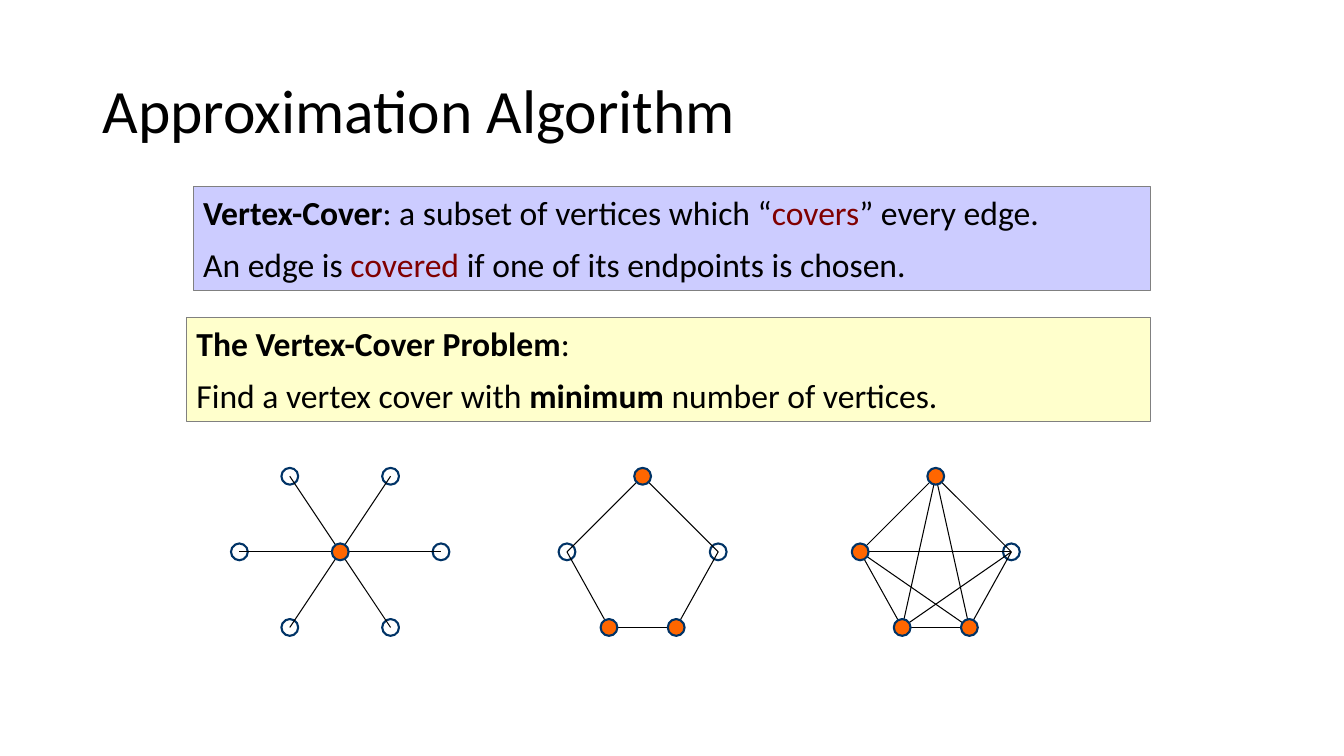
from itertools import combinations

from lxml import etree
from pptx import Presentation
from pptx import util as u
from pptx.dml.color import RGBColor
from pptx.enum import shapes, text
from pptx.oxml.ns import qn

COLORS = {
    "ink": "000000", "accent": "800000", "frame": "808080",
    "definition": "CCCCFF", "problem": "FFFFCC",
    "outline": "003366", "free": "FFFFFF", "chosen": "FF6600",
}
COLUMNS, ROWS = 160, 90
VERTEX_SIZE = 2

# Vertex offsets from the graph's centre, in columns and rows
STAR = [(0, 0), (6, -9), (-6, -9), (-12, 0), (12, 0), (-6, 9), (6, 9)]
PENTAGON = [(0, -9), (9, 0), (4, 9), (-4, 9), (-9, 0)]

SPOKES = [(0, tip) for tip in range(1, len(STAR))]
RING = [(i, (i + 1) % len(PENTAGON)) for i in range(len(PENTAGON))]
ALL_PAIRS = list(combinations(range(len(PENTAGON)), 2))

# Centre column, vertices, edges, chosen vertices
GRAPHS = [
    (40.5, STAR, SPOKES, {0}),
    (76.5, PENTAGON, RING, {0, 2, 3}),
    (111.4, PENTAGON, ALL_PAIRS, {0, 2, 3, 4}),
]
GRAPH_ROW = 65.7

DEFINITION = [
    [("Vertex-Cover", {"bold": True}), (": a subset of vertices which “", {}),
     ("covers", {"color": "accent"}), ("” every edge.", {})],
    [("An edge is ", {}), ("covered", {"color": "accent"}),
     (" if one of its endpoints is chosen.", {})],
]
PROBLEM = [
    [("The Vertex-Cover Problem", {"bold": True}), (":", {})],
    [("Find a vertex cover with ", {}), ("minimum", {"bold": True}),
     (" number of vertices.", {})],
]


def apply(target, values):
    for name, value in values.items():
        setattr(target, name, value)


class SlideBuilder:
    font = "Calibri"

    def __init__(self, presentation):
        self.column = presentation.slide_width / COLUMNS
        self.row = presentation.slide_height / ROWS
        self.slide = presentation.slides.add_slide(presentation.slide_layouts[5])

    def place(self, *lengths):
        """Turn alternating columns and rows into slide lengths."""
        units = (self.column, self.row) * 2
        return [round(length * unit) for length, unit in zip(lengths, units)]

    def add_runs(self, paragraph, runs, size):
        for words, values in runs:
            run = paragraph.add_run()
            run.text = words
            apply(run.font, {"name": self.font, "size": u.Pt(size),
                             "bold": values.get("bold", False)})
            color = COLORS[values.get("color", "ink")]
            run.font.color.rgb = RGBColor.from_string(color)

    def title(self, words, box):
        shape = self.slide.shapes.title
        apply(shape, dict(zip(("left", "top", "width", "height"), self.place(*box))))
        apply(shape.text_frame, {"auto_size": text.MSO_AUTO_SIZE.NONE,
                                 "vertical_anchor": text.MSO_ANCHOR.MIDDLE})
        paragraph = shape.text_frame.paragraphs[0]
        apply(paragraph, {"alignment": text.PP_ALIGN.LEFT, "line_spacing": 0.9})
        self.add_runs(paragraph, [(words, {})], 44)

    def shape(self, kind, box, fill, line, width):
        shape = self.slide.shapes.add_shape(kind, *self.place(*box))
        shape.shadow.inherit = False
        shape.fill.solid()
        shape.fill.fore_color.rgb = RGBColor.from_string(COLORS[fill])
        shape.line.color.rgb = RGBColor.from_string(COLORS[line])
        shape.line.width = u.Pt(width)
        return shape

    def panel(self, paragraphs, box, fill):
        shape = self.shape(shapes.MSO_SHAPE.RECTANGLE, box, fill, "frame", 0.75)
        frame = shape.text_frame
        apply(frame, {"word_wrap": True, "vertical_anchor": text.MSO_ANCHOR.TOP,
                      "auto_size": text.MSO_AUTO_SIZE.SHAPE_TO_FIT_TEXT})
        for index, runs in enumerate(paragraphs):
            paragraph = frame.add_paragraph() if index else frame.paragraphs[0]
            apply(paragraph, {"alignment": text.PP_ALIGN.LEFT,
                              "line_spacing": 1.3 if index else 1.0})
            self.add_runs(paragraph, runs, 24)

    def vertex(self, center, fill):
        left, top = (position - VERTEX_SIZE / 2 for position in center)
        self.shape(shapes.MSO_SHAPE.OVAL, (left, top, VERTEX_SIZE, VERTEX_SIZE),
                   fill, "outline", 1.5)

    def edge(self, start, end):
        line = self.slide.shapes.add_connector(
            shapes.MSO_CONNECTOR.STRAIGHT, *self.place(*start, *end))
        line.line.color.rgb = RGBColor.from_string(COLORS["ink"])
        line.line.width = u.Pt(0.75)
        etree.SubElement(line._element.spPr, qn("a:effectLst"))

    def graph(self, center_column, offsets, edges, cover):
        """Draw free vertices, then edges, then the chosen cover on top."""
        centers = [(center_column + x, GRAPH_ROW + y) for x, y in offsets]
        for index, center in enumerate(centers):
            if index not in cover:
                self.vertex(center, "free")
        for start, end in edges:
            self.edge(centers[start], centers[end])
        for index in sorted(cover):
            self.vertex(centers[index], "chosen")


def main():
    presentation = Presentation()
    apply(presentation, {"slide_width": u.Inches(13.33), "slide_height": u.Inches(7.5)})
    builder = SlideBuilder(presentation)
    builder.title("Approximation Algorithm", (11, 4.8, 138, 17.4))
    builder.panel(DEFINITION, (23, 22.2, 114, 12.4), "definition")
    builder.panel(PROBLEM, (22.2, 37.8, 114.8, 12.4), "problem")
    for graph in GRAPHS:
        builder.graph(*graph)
    presentation.save("out.pptx")


if __name__ == "__main__":
    main()
